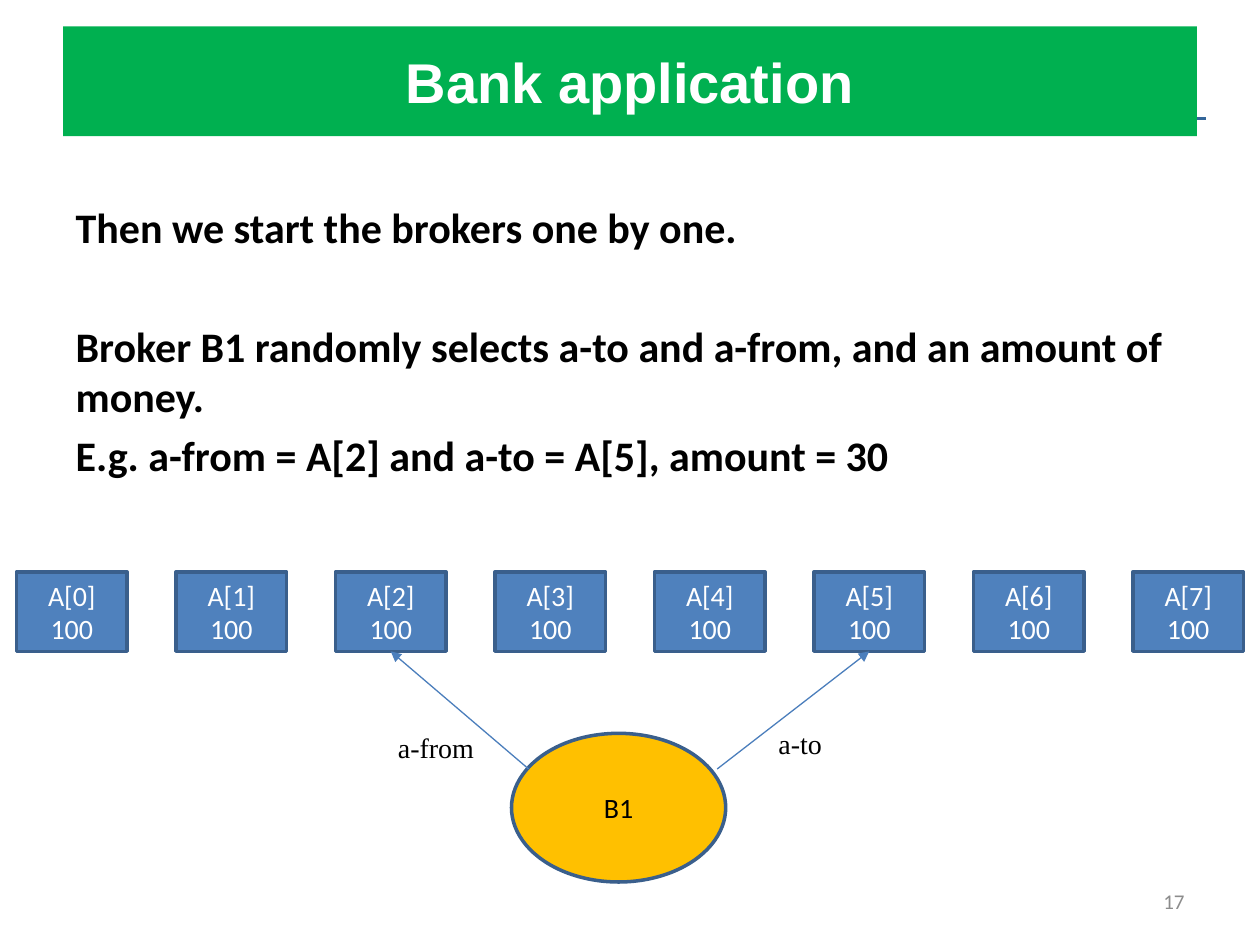
import pptx
import pptx.util
from lxml import etree
from pptx.dml.color import RGBColor
from pptx.enum.shapes import MSO_CONNECTOR, MSO_SHAPE
from pptx.enum.text import MSO_ANCHOR, MSO_AUTO_SIZE, PP_ALIGN
from pptx.oxml.ns import qn
from pptx.util import Inches, Pt

WIDTH, HEIGHT = 10, 7.5
MARGIN = WIDTH * 0.05
CONTENT_WIDTH = WIDTH - 2 * MARGIN
ACCOUNT_COUNT = 8
ACCOUNT_WIDTH = 0.88

GREEN = RGBColor(0x00, 0xB0, 0x50)
AMBER = RGBColor(0xFF, 0xC0, 0x00)
BLUE = RGBColor(0x4F, 0x81, 0xBD)
OUTLINE = RGBColor(0x3A, 0x5F, 0x8C)
ARROW = RGBColor(0x4B, 0x7E, 0xBC)
RULE = RGBColor(0x33, 0x66, 0x99)
GRAY = RGBColor(0x8C, 0x8C, 0x8C)
BLACK = RGBColor(0x00, 0x00, 0x00)
WHITE = RGBColor(0xFF, 0xFF, 0xFF)


def place(shape, box):
    shape.left, shape.top, shape.width, shape.height = map(Inches, box)


def write(shape, lines, size, color, font="Calibri", bold=False, align=PP_ALIGN.LEFT):
    """Fill the shape with one paragraph per line, all in one style."""
    frame = shape.text_frame
    frame.text = "\n".join(lines)
    for paragraph in frame.paragraphs:
        paragraph.alignment = align
        paragraph.font.name = font
        paragraph.font.size = Pt(size)
        paragraph.font.bold = bold
        paragraph.font.color.rgb = color
    return frame


def add_line(slide, start, end, color, width):
    line = slide.shapes.add_connector(
        MSO_CONNECTOR.STRAIGHT, *map(Inches, (*start, *end)))
    line.line.color.rgb = color
    line.line.width = Pt(width)
    etree.SubElement(line._element.spPr, qn("a:effectLst"))
    return line


def add_arrow(slide, start, end):
    arrow = add_line(slide, start, end, ARROW, 0.75)
    etree.SubElement(arrow.line._get_or_add_ln(), qn("a:tailEnd"), type="triangle")


def add_node(slide, kind, box, lines, fill, text_color):
    node = slide.shapes.add_shape(kind, *map(Inches, box))
    node.shadow.inherit = False
    node.fill.solid()
    node.fill.fore_color.rgb = fill
    node.line.color.rgb = OUTLINE
    node.line.width = Pt(2)
    frame = write(node, lines, 16, text_color, align=PP_ALIGN.CENTER)
    frame.vertical_anchor = MSO_ANCHOR.MIDDLE


def add_label(slide, box, text):
    label = slide.shapes.add_textbox(*map(Inches, box))
    frame = write(label, [text], 16, BLACK, "Times New Roman")
    frame.word_wrap = False
    frame.auto_size = MSO_AUTO_SIZE.SHAPE_TO_FIT_TEXT


def fill_title(slide, box):
    """Green title bar over a thin rule that shows at its right end."""
    left, top, width, height = box
    rule_y = top + 0.84 * height
    rule = add_line(slide, (left, rule_y), (left + width + 0.07, rule_y), RULE, 1.5)
    title = slide.shapes.title
    title._element.addprevious(rule._element)
    place(title, box)
    title.fill.solid()
    title.fill.fore_color.rgb = GREEN
    frame = write(title, ["Bank application"], 32, WHITE, "Arial", True, PP_ALIGN.CENTER)
    frame.vertical_anchor = MSO_ANCHOR.MIDDLE


def fill_body(slide, box):
    body = slide.placeholders[1]
    place(body, box)
    frame = write(body, [
        "Then we start the brokers one by one.",
        "Broker B1 randomly selects a-to and a-from, and an amount of money.",
        "E.g. a-from = A[2] and a-to = A[5], amount = 30",
    ], 24, BLACK, bold=True)
    frame.auto_size = MSO_AUTO_SIZE.NONE
    for paragraph, space in zip(frame.paragraphs, (0, 39, 4.8)):
        paragraph.space_before = Pt(space)
        properties = paragraph._p.get_or_add_pPr()
        properties.set("marL", "0")
        properties.set("indent", "0")
        etree.SubElement(properties, qn("a:buNone"))
        # The schema wants the bullet ahead of the default run properties.
        properties.append(properties.find(qn("a:defRPr"))) if (
            properties.find(qn("a:defRPr")) is not None) else None


def add_accounts(slide, box):
    """Row of equal accounts; returns the bottom centre of each."""
    left, top, width, height = box
    pitch = (width - ACCOUNT_WIDTH) / (ACCOUNT_COUNT - 1)
    anchors = []
    for index in range(ACCOUNT_COUNT):
        x = left + index * pitch
        add_node(slide, MSO_SHAPE.RECTANGLE, (x, top, ACCOUNT_WIDTH, height),
                 [f"A[{index}]", "100"], BLUE, WHITE)
        anchors.append((x + ACCOUNT_WIDTH / 2, top + height))
    return anchors


def add_broker(slide, box, source, target):
    """Broker ellipse with labelled arrows to its two accounts."""
    left, top, width, height = box
    add_node(slide, MSO_SHAPE.OVAL, box, ["B1"], AMBER, BLACK)
    arrow_y = top + 0.24 * height
    add_arrow(slide, (left + 0.08 * width, arrow_y), source)
    add_arrow(slide, (left + 0.96 * width, arrow_y), target)
    add_label(slide, (left - 1, top - 0.07, 0.82, 0.37), "a-from")
    add_label(slide, (left + width + 0.32, top - 0.1, 0.55, 0.37), "a-to")


def add_page_number(slide, box):
    number = slide.shapes.add_textbox(*map(Inches, box))
    frame = write(number, ["17"], 12, GRAY, align=PP_ALIGN.RIGHT)
    frame.word_wrap = True
    frame.vertical_anchor = MSO_ANCHOR.MIDDLE


def main():
    presentation = pptx.Presentation()
    presentation.slide_width = Inches(WIDTH)
    presentation.slide_height = Inches(HEIGHT)
    slide = presentation.slides.add_slide(presentation.slide_layouts[1])
    fill_title(slide, (MARGIN, 0.21, CONTENT_WIDTH, 0.87))
    fill_body(slide, (MARGIN, 1.55, CONTENT_WIDTH, 5.15))
    add_page_number(slide, (7.17, 6.95, 2.33, 0.4))
    anchors = add_accounts(slide, (0.13, 4.54, WIDTH - 0.26, 0.63))
    add_broker(slide, (4.06, 5.82, 1.7, 1.18), anchors[2], anchors[5])
    presentation.save("out.pptx")


if __name__ == "__main__":
    main()
